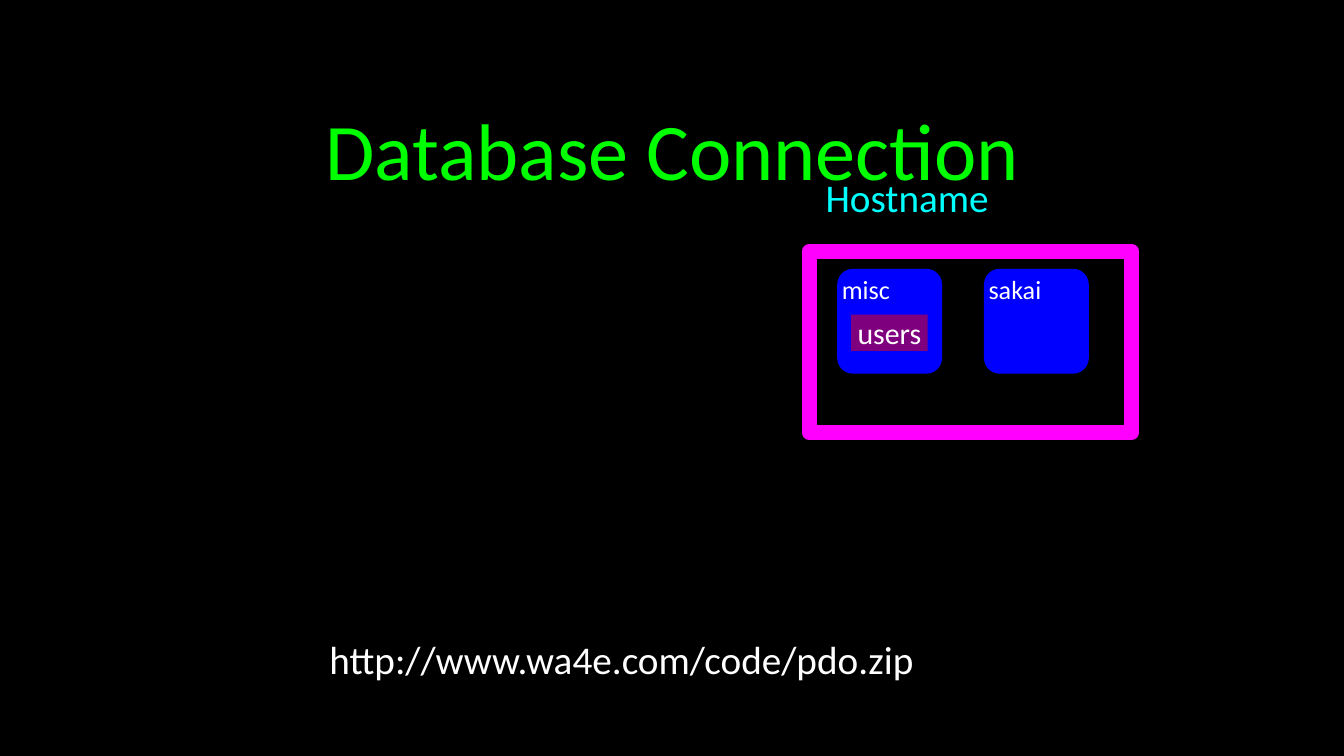
from pptx import Presentation
from pptx.dml.color import RGBColor
from pptx.enum.shapes import MSO_SHAPE
from pptx.enum.text import MSO_ANCHOR, PP_ALIGN
from pptx.util import Pt

RECT = MSO_SHAPE.RECTANGLE
ROUND = MSO_SHAPE.ROUNDED_RECTANGLE
TOP, MID = MSO_ANCHOR.TOP, MSO_ANCHOR.MIDDLE
LEFT, MIDDLE = PP_ALIGN.LEFT, PP_ALIGN.CENTER


def color(code):
    return RGBColor.from_string(code)


def write(shape, text, size=21, ink="FFFFFF", align=MIDDLE, anchor=MID, wrap=False, inset=0):
    frame = shape.text_frame
    frame.word_wrap = wrap
    frame.vertical_anchor = anchor
    frame.margin_left = frame.margin_right = Pt(inset)
    frame.margin_top = frame.margin_bottom = Pt(inset)
    para = frame.paragraphs[0]
    para.alignment = align
    run = para.add_run()
    run.text = text
    run.font.name = "Calibri"
    run.font.size = Pt(size)
    run.font.color.rgb = color(ink)


def label(slide, text, left, top, width, height, **style):
    box = slide.shapes.add_textbox(Pt(left), Pt(top), Pt(width), Pt(height))
    write(box, text, **style)


def block(slide, kind, left, top, width, height, fill=None, line=None):
    shape = slide.shapes.add_shape(kind, Pt(left), Pt(top), Pt(width), Pt(height))
    shape.shadow.inherit = False
    if fill:
        shape.fill.solid()
        shape.fill.fore_color.rgb = color(fill)
    else:
        shape.fill.background()
    if line:
        shape.line.color.rgb = color(line)
        shape.line.width = Pt(8)
    else:
        shape.line.fill.background()
    return shape


def server(slide, left, top, width, height):
    block(slide, RECT, left, top, width, height, line="FF00FF")
    label(slide, "Hostname", left + 1.4, top - 41.8, 102.2, 25.2, ink="00FFFF")
    for col, name in enumerate(("misc", "sakai")):
        base = block(slide, ROUND, left + 15 + col * 78.6, top + 9.4, 56.2, 56.2, fill="0000FF")
        base.adjustments[0] = 0.15
        write(base, name, size=14, align=LEFT, anchor=TOP, wrap=True)
    table = block(slide, RECT, left + 22.5, top + 34, 41, 19.4, fill="7F007F")
    write(table, "users", size=16)


def main():
    deck = Presentation()
    deck.slide_width, deck.slide_height = Pt(720), Pt(405)
    slide = deck.slides.add_slide(deck.slide_layouts[6])
    slide.background.fill.solid()
    slide.background.fill.fore_color.rgb = color("000000")
    label(slide, "Database Connection", 67, 46.8, 586, 65.5,
          size=43, ink="00FF00", wrap=True, inset=4.3)
    server(slide, 433.5, 134.6, 172.8, 97.2)
    label(slide, "http://www.wa4e.com/code/pdo.zip", 156.2, 340.6, 353.5, 25.2)
    deck.save("out.pptx")


if __name__ == "__main__":
    main()
